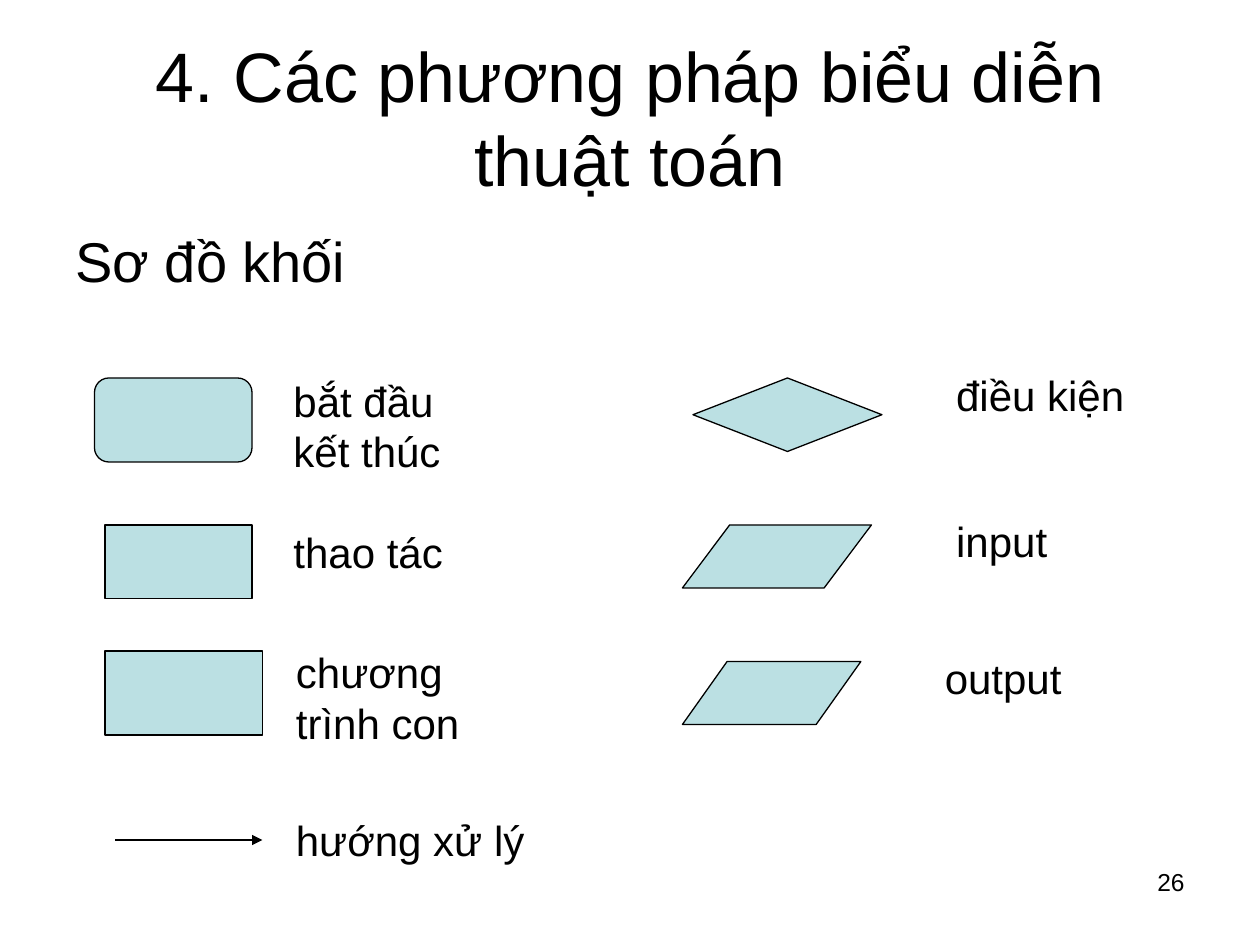
from lxml import etree
from pptx import Presentation
from pptx.dml.color import RGBColor
from pptx.enum import shapes, text
from pptx.oxml.ns import qn
from pptx.util import Pt

BLACK, PALE_TEAL = "000000", "BBE0E3"
KIND = shapes.MSO_SHAPE


def color(hex_string):
    return RGBColor.from_string(hex_string)


def write(frame, content, size=24, align=text.PP_ALIGN.LEFT,
          anchor=text.MSO_ANCHOR.TOP, wrap=True, before=0):
    frame.text = content
    frame.auto_size = text.MSO_AUTO_SIZE.NONE
    frame.word_wrap = wrap
    frame.vertical_anchor = anchor
    for paragraph in frame.paragraphs:
        paragraph.alignment = align
        paragraph.space_before = Pt(before)
        paragraph.font.size = Pt(size)
        paragraph.font.name = "Arial"
        paragraph.font.color.rgb = color(BLACK)


deck = Presentation()
deck.slide_width, deck.slide_height = Pt(720), Pt(540)
slide = deck.slides.add_slide(deck.slide_layouts[5])

# Title
title = slide.shapes.title
title.left, title.top, title.width, title.height = Pt(36), Pt(21.6), Pt(648), Pt(90)
write(title.text_frame, "4. Các phương pháp biểu diễn thuật toán", size=40,
      align=text.PP_ALIGN.CENTER, anchor=text.MSO_ANCHOR.MIDDLE)

# Subheading
subheading = slide.shapes.add_textbox(Pt(36), Pt(126), Pt(648), Pt(54))
write(subheading.text_frame, "Sơ đồ khối", size=32, before=8)

# Flowchart symbols: kind, left, top, width, height, adjustment
symbols = [
    (KIND.ROUNDED_RECTANGLE, 54, 216, 90, 48, 0.17),
    (KIND.RECTANGLE, 60, 300, 84, 42, None),
    (KIND.RECTANGLE, 60, 372, 90, 48, None),
    (KIND.DIAMOND, 396, 216, 108, 42, None),
    (KIND.PARALLELOGRAM, 390, 300, 108, 36, 0.75),
    (KIND.PARALLELOGRAM, 390, 378, 102, 36, 0.71),
]
for kind, left, top, width, height, adjustment in symbols:
    symbol = slide.shapes.add_shape(kind, Pt(left), Pt(top), Pt(width), Pt(height))
    symbol.shadow.inherit = False
    symbol.fill.solid()
    symbol.fill.fore_color.rgb = color(PALE_TEAL)
    symbol.line.color.rgb = color(BLACK)
    symbol.line.width = Pt(0.75)
    if adjustment is not None:
        symbol.adjustments[0] = adjustment

# Flow arrow
flow = slide.shapes.add_connector(shapes.MSO_CONNECTOR.STRAIGHT,
                                  Pt(66), Pt(480), Pt(150), Pt(480))
flow.line.color.rgb = color(BLACK)
flow.line.width = Pt(0.75)
etree.SubElement(flow.line._get_or_add_ln(), qn("a:tailEnd"), type="triangle")
etree.SubElement(flow._element.spPr, qn("a:effectLst"))

# Symbol meanings: wording, left, top, width, height, wrap
meanings = [
    ("bắt đầu\nkết thúc", 160.6, 211, 98, 65, False),
    ("thao tác", 160.6, 297.4, 99.4, 36, False),
    ("chương trình con", 162, 366, 120, 65, True),
    ("hướng xử lý", 162, 462, 144.7, 36, False),
    ("điều kiện", 539.3, 207.4, 110.2, 36, False),
    ("input", 539.3, 291, 66.2, 36, False),
    ("output", 532.8, 369.4, 80.6, 36, False),
]
for wording, left, top, width, height, wrap in meanings:
    meaning = slide.shapes.add_textbox(Pt(left), Pt(top), Pt(width), Pt(height))
    write(meaning.text_frame, wording, wrap=wrap)

# Page number
page_number = slide.shapes.add_textbox(Pt(516), Pt(492), Pt(168), Pt(37.5))
write(page_number.text_frame, "26", size=14, align=text.PP_ALIGN.RIGHT)

deck.save("out.pptx")
